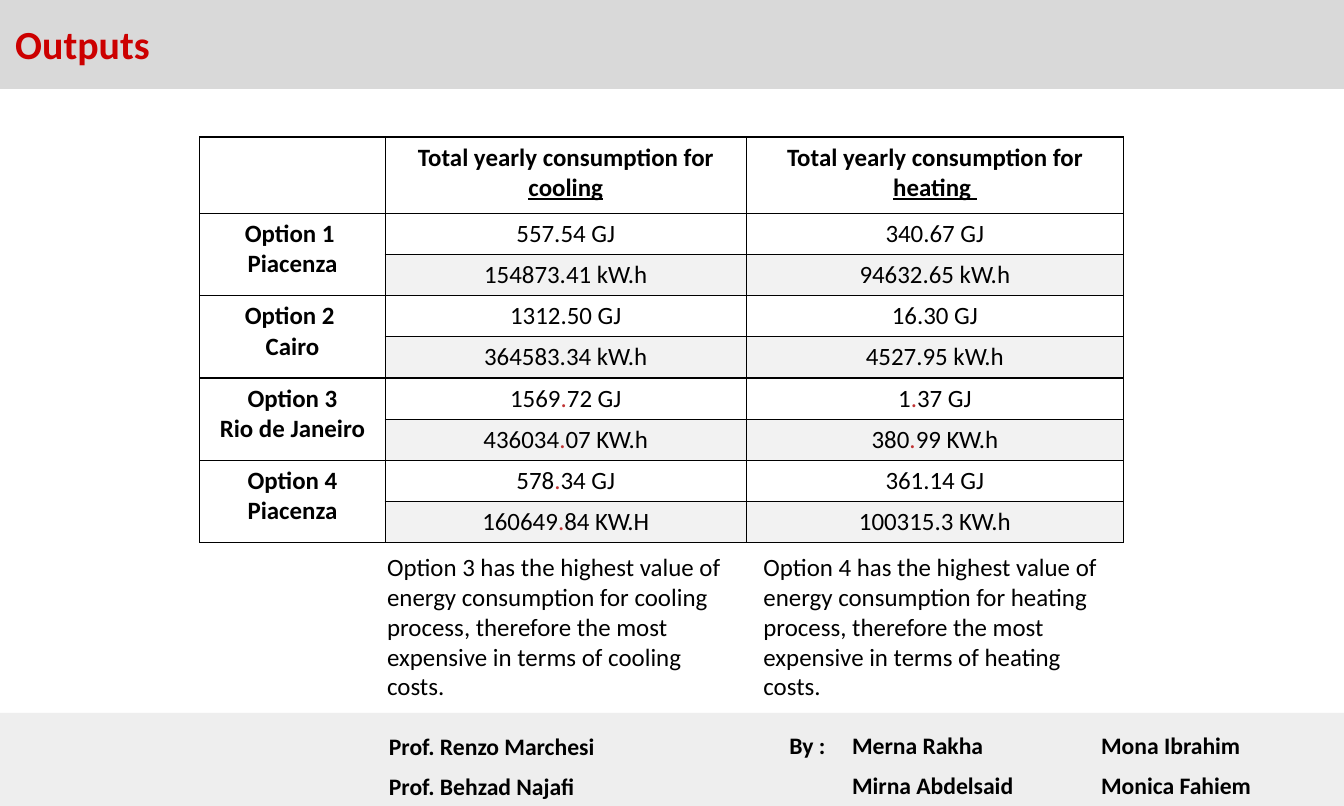
import lxml.etree
import pptx
import pptx.dml.color
import pptx.enum.shapes
import pptx.enum.text
import pptx.oxml.ns
import pptx.util

Inches = pptx.util.Inches
Pt = pptx.util.Pt
ALIGN = pptx.enum.text.PP_ALIGN
ANCHOR = pptx.enum.text.MSO_ANCHOR
qn = pptx.oxml.ns.qn

BLACK, RED, DOT_RED = "000000", "CC0000", "C03333"
WHITE, BAR_GREY, FOOTER_GREY, BAND_GREY = "FFFFFF", "D9D9D9", "EEEEEE", "F2F2F2"


def colour(hex_string):
    return pptx.dml.color.RGBColor.from_string(hex_string)


def red_dot(whole, rest):
    return [whole, (".", {"color": DOT_RED}), rest]


def header(word):
    return ["Total yearly consumption for ", (word, {"underline": True})]


HEADERS = [header("cooling"), header("heating ")]
OPTIONS = [
    (["Option 1 ", "Piacenza"],
     [["557.54 GJ"], ["340.67 GJ"]],
     [["154873.41 kW.h"], ["94632.65 kW.h"]]),
    (["Option 2 ", "Cairo"],
     [["1312.50 GJ"], ["16.30 GJ"]],
     [["364583.34 kW.h"], ["4527.95 kW.h"]]),
    (["Option 3", "Rio de Janeiro"],
     [red_dot("1569", "72 GJ"), red_dot("1", "37 GJ")],
     [red_dot("436034", "07 KW.h"), red_dot("380", "99 KW.h")]),
    (["Option 4", "Piacenza"],
     [red_dot("578", "34 GJ"), ["361.14 GJ"]],
     [red_dot("160649", "84 KW.H"), ["100315.3 KW.h"]]),
]
NOTES = [(4.17, 4.2, 3, "cooling"), (8.37, 4.15, 4, "heating")]
CREDITS = [
    ((4.19, 8.05, 3.72, 0.64), ["Prof. Renzo Marchesi", "Prof. Behzad Najafi"]),
    ((8.66, 8.03, 3.86, 0.64), ["By :\tMerna Rakha", "\tMirna Abdelsaid"]),
    ((12.14, 8.03, 2.66, 1.04), ["Mona Ibrahim", "Monica Fahiem"]),
]


class SlideBuilder:
    """Hold the style and the current slide, and add its elements."""

    font_name = "Calibri"

    def __init__(self, presentation):
        self.slide = presentation.slides.add_slide(presentation.slide_layouts[5])
        self.slide.background.fill.solid()
        self.slide.background.fill.fore_color.rgb = colour(WHITE)

    def fill_text(self, frame, paragraphs, size, bold=False, color=BLACK, **formats):
        for index, runs in enumerate(paragraphs):
            paragraph = frame.add_paragraph() if index else frame.paragraphs[0]
            for name, value in formats.items():
                setattr(paragraph, name, value)
            for item in runs:
                text, changes = item if isinstance(item, tuple) else (item, {})
                run = paragraph.add_run()
                run.text = text
                values = {"name": self.font_name, "size": Pt(size), "bold": bold,
                          "color": color, **changes}
                run.font.color.rgb = colour(values.pop("color"))
                for name, value in values.items():
                    setattr(run.font, name, value)

    def format_frame(self, frame, side, vertical, anchor=ANCHOR.TOP):
        values = {"word_wrap": True, "auto_size": pptx.enum.text.MSO_AUTO_SIZE.NONE,
                  "vertical_anchor": anchor,
                  "margin_left": Inches(side), "margin_right": Inches(side),
                  "margin_top": Inches(vertical), "margin_bottom": Inches(vertical)}
        for name, value in values.items():
            setattr(frame, name, value)

    def title(self, text, box):
        title = self.slide.shapes.title
        for name, value in zip(("left", "top", "width", "height"), box):
            setattr(title, name, Inches(value))
        self.format_frame(title.text_frame, 0.15, 0.15, ANCHOR.MIDDLE)
        self.fill_text(title.text_frame, [[text]], 32, True, RED, alignment=ALIGN.LEFT)
        return title

    def bar(self, box, fill, line_width=0):
        shape = self.slide.shapes.add_shape(
            pptx.enum.shapes.MSO_SHAPE.RECTANGLE, *map(Inches, box))
        shape.shadow.inherit = False
        shape.fill.solid()
        shape.fill.fore_color.rgb = colour(fill)
        if line_width:
            shape.line.color.rgb = colour(fill)
            shape.line.width = Pt(line_width)
        else:
            shape.line.fill.background()
        return shape

    def text(self, box, paragraphs, size, vertical=0.15, bold=False, **formats):
        frame = self.slide.shapes.add_textbox(*map(Inches, box)).text_frame
        self.format_frame(frame, 0.15, vertical)
        self.fill_text(frame, paragraphs, size, bold, **formats)
        return frame

    def tab_stop(self, frame, position):
        for paragraph in frame.paragraphs:
            properties = paragraph._p.get_or_add_pPr()
            tabs = lxml.etree.SubElement(properties, qn("a:tabLst"))
            lxml.etree.SubElement(tabs, qn("a:tab"), pos=str(Inches(position)), algn="l")

    def cell(self, cell, paragraphs=(), bold=False, fill=WHITE):
        margins = {"margin_left": 0.15, "margin_right": 0.15,
                   "margin_top": 0.06, "margin_bottom": 0.06}
        for name, value in margins.items():
            setattr(cell, name, Inches(value))
        properties = cell._tc.get_or_add_tcPr()
        for side in ("a:lnL", "a:lnR", "a:lnT", "a:lnB"):
            line = lxml.etree.SubElement(properties, qn(side), w=str(Pt(1)))
            solid = lxml.etree.SubElement(line, qn("a:solidFill"))
            lxml.etree.SubElement(solid, qn("a:srgbClr"), val=BLACK)
        cell.fill.solid()
        cell.fill.fore_color.rgb = colour(fill)
        self.fill_text(cell.text_frame, paragraphs, 20, bold, alignment=ALIGN.CENTER)

    def consumption_table(self, left, top, widths, header_height, row_height):
        rows = 1 + 2 * len(OPTIONS)
        height = header_height + (rows - 1) * row_height
        table = self.slide.shapes.add_table(
            rows, len(widths), Inches(left), Inches(top),
            Inches(sum(widths)), Inches(height)).table
        table.first_row = table.horz_banding = False
        for column, width in zip(table.columns, widths):
            column.width = Inches(width)
        for index, row in enumerate(table.rows):
            row.height = Inches(row_height if index else header_height)
        self.cell(table.cell(0, 0))
        for column, runs in enumerate(HEADERS, 1):
            self.cell(table.cell(0, column), [runs], bold=True)
        for option, (name, *energy_rows) in enumerate(OPTIONS):
            first = 1 + 2 * option
            table.cell(first, 0).merge(table.cell(first + 1, 0))
            self.cell(table.cell(first, 0), [[line] for line in name], bold=True)
            self.cell(table.cell(first + 1, 0))
            for offset, (values, fill) in enumerate(zip(energy_rows, (WHITE, BAND_GREY))):
                for column, runs in enumerate(values, 1):
                    self.cell(table.cell(first + offset, column), [runs], fill=fill)


def main():
    presentation = pptx.Presentation()
    presentation.slide_width = Inches(15)
    presentation.slide_height = Inches(9)
    builder = SlideBuilder(presentation)

    title_bar = builder.bar((0, 0, 15, 0.98), BAR_GREY, line_width=2)
    title = builder.title("Outputs", (0.02, -1.31, 13.98, 3.59))
    title.element.addprevious(title_bar.element)
    builder.consumption_table(2.23, 1.53, (2.07, 4.03, 4.21), 0.85, 0.46)

    builder.bar((0, 7.96, 15, 1.04), FOOTER_GREY)
    for box, names in CREDITS:
        frame = builder.text(box, [[name] for name in names], 19, vertical=0.08,
                             bold=True, line_spacing=1.15, space_before=Pt(6))
        if "\t" in names[0]:
            builder.tab_stop(frame, 0.7)

    for left, width, option, process in NOTES:
        note = (f"Option {option} has the highest value of energy consumption for "
                f"{process} process, therefore the most expensive in terms of "
                f"{process} costs.")
        builder.text((left, 6.01, width, 1.64), [[note]], 20)

    presentation.save("out.pptx")


if __name__ == "__main__":
    main()
